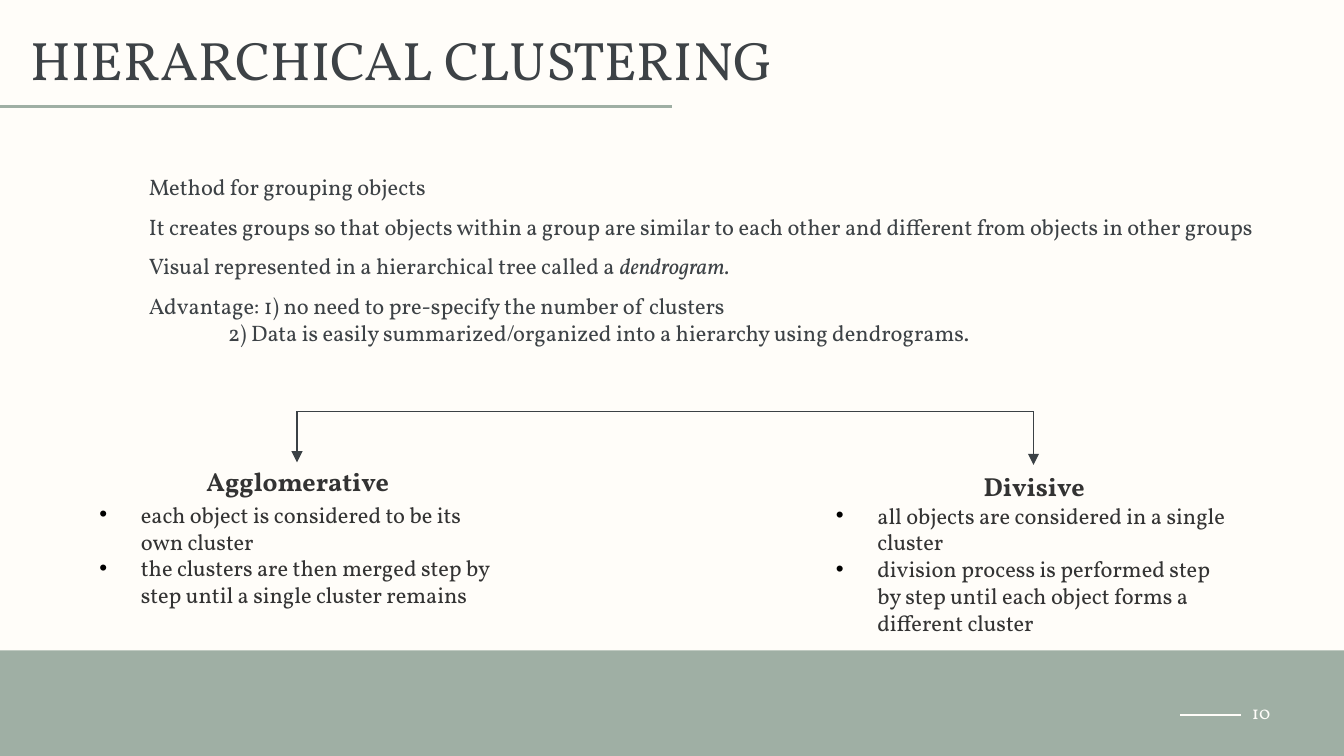
from lxml import etree
from pptx import Presentation
from pptx.dml.color import RGBColor
from pptx.enum.shapes import MSO_CONNECTOR, MSO_SHAPE
from pptx.enum.text import MSO_ANCHOR, PP_ALIGN
from pptx.oxml.ns import qn
from pptx.util import Inches, Pt

STRAIGHT = MSO_CONNECTOR.STRAIGHT
RECTANGLE = MSO_SHAPE.RECTANGLE
TOP, MIDDLE = MSO_ANCHOR.TOP, MSO_ANCHOR.MIDDLE
LEFT, CENTER, RIGHT = PP_ALIGN.LEFT, PP_ALIGN.CENTER, PP_ALIGN.RIGHT

FONT = "Vollkorn"
COLORS = {
    "cream": "FFFDF9",
    "sage": "9FAFA4",
    "slate": "3D4246",
    "branch": "3B4145",
    "text": "333333",
    "bullet": "000000",
}


def write(frame, text, size=12, color="slate", bold=False, italic_end="",
          align=LEFT, before=0, left=0, bullet=False):
    """Add a paragraph, reusing the empty first one of the frame."""
    paragraph = frame.paragraphs[0]
    if paragraph.runs:
        paragraph = frame.add_paragraph()
    properties = paragraph._p.get_or_add_pPr()
    properties.set("marL", str(Inches(left)))
    properties.set("indent", str(-Inches(left) if bullet else 0))
    paragraph.alignment = align
    paragraph.space_before = Pt(before)
    if bullet:
        bullet_color = etree.SubElement(properties, qn("a:buClr"))
        etree.SubElement(bullet_color, qn("a:srgbClr"), val=COLORS["bullet"])
        etree.SubElement(properties, qn("a:buFont"), typeface="Arial")
        etree.SubElement(properties, qn("a:buChar"), char="•")
    for content, italic in ((text, False), (italic_end, True)):
        if content:
            run = paragraph.add_run()
            run.text = content
            run.font.name = FONT
            run.font.size = Pt(size)
            run.font.bold = bold
            run.font.italic = italic
            run.font.color.rgb = RGBColor.from_string(COLORS[color])


# Widescreen 16:9 slide
presentation = Presentation()
presentation.slide_width = Inches(10)
presentation.slide_height = Inches(10) * 9 // 16
slide = presentation.slides.add_slide(presentation.slide_layouts[6])
slide.background.fill.solid()
slide.background.fill.fore_color.rgb = RGBColor.from_string(COLORS["cream"])

# Footer band
band_top = Inches(4.84)
band = slide.shapes.add_shape(RECTANGLE, 0, band_top, presentation.slide_width,
                              presentation.slide_height - band_top)
band.shadow.inherit = False
band.fill.solid()
band.fill.fore_color.rgb = RGBColor.from_string(COLORS["sage"])
band.line.fill.background()

# Page number dash, title rule and the branch to the two types
AGGLOMERATIVE_X, DIVISIVE_X, BRANCH_Y = 2.21, 7.69, 3.06
for x1, y1, x2, y2, color, width, arrow in (
    (8.78, 5.32, 9.23, 5.32, "cream", 0.75, False),
    (0, 0.79, 5, 0.79, "sage", 1.5, False),
    (AGGLOMERATIVE_X, BRANCH_Y, DIVISIVE_X, BRANCH_Y, "branch", 0.75, False),
    (AGGLOMERATIVE_X, BRANCH_Y, AGGLOMERATIVE_X, 3.44, "branch", 0.75, True),
    (DIVISIVE_X, BRANCH_Y, DIVISIVE_X, 3.46, "branch", 0.75, True),
):
    line = slide.shapes.add_connector(
        STRAIGHT, Inches(x1), Inches(y1), Inches(x2), Inches(y2))
    line.line.color.rgb = RGBColor.from_string(COLORS[color])
    line.line.width = Pt(width)
    if arrow:
        etree.SubElement(line.line._get_or_add_ln(), qn("a:tailEnd"), type="triangle")
    etree.SubElement(line._element.spPr, qn("a:effectLst"))

# Text boxes: left, top, width, height, vertical inset, anchor
frames = {}
for name, x, y, width, height, inset, anchor in (
    ("title", 0.13, 0.12, 8.43, 0.63, 0.1, MIDDLE),
    ("description", 0.51, 1.12, 9.13, 1.62, 0.1, MIDDLE),
    ("agglomerative", 0.64, 3.41, 3.15, 1.38, 0.05, TOP),
    ("divisive", 6.12, 3.45, 3.15, 1.35, 0.05, TOP),
    ("page number", 8.95, 5.13, 0.6, 0.37, 0.1, TOP),
):
    box = slide.shapes.add_textbox(Inches(x), Inches(y), Inches(width), Inches(height))
    frame = frames[name] = box.text_frame
    frame.word_wrap = True
    frame.vertical_anchor = anchor
    frame.margin_left = frame.margin_right = Inches(0.1)
    frame.margin_top = frame.margin_bottom = Inches(inset)

write(frames["title"], "HIERARCHICAL CLUSTERING", size=29)
write(frames["page number"], "10", size=10, color="cream", align=RIGHT)

# Description
description = frames["description"]
write(description, "Method for grouping objects", left=0.5)
write(description, "It creates groups so that objects within a group are similar to "
      "each other and different from objects in other groups", left=0.5, before=7)
write(description, "Visual represented in a hierarchical tree called a ",
      italic_end="dendrogram.", left=0.5, before=6.5)
write(description, "Advantage: 1) no need to pre-specify the number of clusters",
      left=0.5, before=7)
write(description, "2) Data is easily summarized/organized into a hierarchy using "
      "dendrograms.", left=1.09)

# The two types of clustering
for name, heading, gap, points in (
    ("agglomerative", "Agglomerative", 2.4, (
        "each object is considered to be its own cluster",
        "the clusters are then merged step by step until a single cluster remains")),
    ("divisive", "Divisive", 0, (
        "all objects are considered in a single cluster",
        "division process is performed step by step until each object forms a "
        "different cluster")),
):
    write(frames[name], heading, size=14, color="text", bold=True, align=CENTER)
    for index, point in enumerate(points):
        write(frames[name], point, color="text", left=0.31, bullet=True,
              before=gap if index == 0 else 0)

presentation.save("out.pptx")
